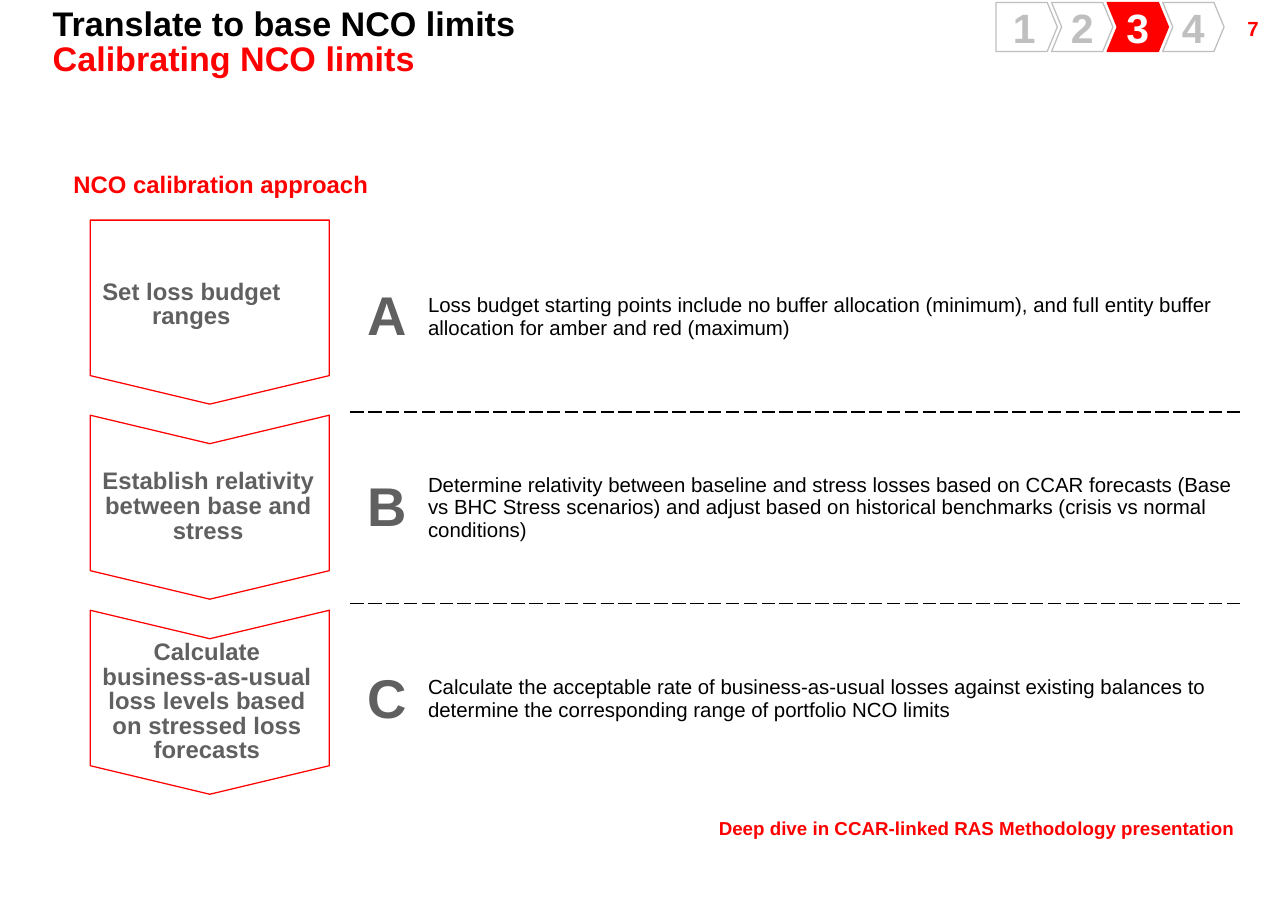
from lxml.etree import SubElement
from pptx import Presentation
from pptx.dml.color import RGBColor
from pptx.enum.shapes import MSO_SHAPE
from pptx.enum.text import MSO_ANCHOR, MSO_AUTO_SIZE, PP_ALIGN
from pptx.oxml import parse_xml
from pptx.oxml.ns import nsdecls, qn
from pptx.util import Inches, Pt

COLORS = {
    "black": "000000",
    "white": "FFFFFF",
    "red": "FF0000",
    "gray": "606060",
    "light_gray": "BFBFBF",
}
FONT = "Arial"
TIGHT = 0.86
CURRENT_STAGE = 3
STEPS = [
    ("A", "Set loss budget ranges",
     "Loss budget starting points include no buffer allocation (minimum), "
     "and full entity buffer allocation for amber and red (maximum)"),
    ("B", "Establish relativity between base and stress",
     "Determine relativity between baseline and stress losses based on CCAR forecasts "
     "(Base vs BHC Stress scenarios) and adjust based on historical benchmarks "
     "(crisis vs normal conditions)"),
    ("C", "Calculate business-as-usual loss levels based on stressed loss forecasts",
     "Calculate the acceptable rate of business-as-usual losses against existing balances "
     "to determine the corresponding range of portfolio NCO limits"),
]


def rgb(name):
    return RGBColor.from_string(COLORS[name])


def format_paragraph(paragraph, size, color, bold=True, align=PP_ALIGN.LEFT, spacing=1.0):
    paragraph.alignment = align
    paragraph.line_spacing = spacing
    paragraph.space_before = Pt(0)
    for run in paragraph.runs:
        run.font.name = FONT
        run.font.size = Pt(size)
        run.font.bold = bold
        run.font.color.rgb = rgb(color)


def set_margins(target, margin):
    target.margin_left = target.margin_right = Inches(margin)
    target.margin_top = target.margin_bottom = Inches(margin)


def add_title(slide):
    title = slide.shapes.title
    title.left, title.top = Inches(0.33), Inches(0.02)
    title.width, title.height = Inches(9.76), Inches(0.68)
    frame = title.text_frame
    frame.text = "Translate to base NCO limits\nCalibrating NCO limits"
    frame.auto_size = MSO_AUTO_SIZE.NONE
    frame.vertical_anchor = MSO_ANCHOR.TOP
    for paragraph, color in zip(frame.paragraphs, ("black", "red")):
        format_paragraph(paragraph, 20, color, spacing=TIGHT)


def add_label(slide, text, left, top, width, height, size,
              align=PP_ALIGN.LEFT, spacing=TIGHT, wrap=True):
    box = slide.shapes.add_textbox(Inches(left), Inches(top), Inches(width), Inches(height))
    frame = box.text_frame
    frame.word_wrap = wrap
    frame.text = text
    format_paragraph(frame.paragraphs[0], size, "red", align=align, spacing=spacing)
    return box


def add_arrow(slide, is_first, text, left, top, width, height, point, fill, line,
              size, color, margin, spacing=1.0):
    """Add a pentagon for the first arrow of a chain, a chevron for the others."""
    preset = MSO_SHAPE.PENTAGON if is_first else MSO_SHAPE.CHEVRON
    arrow = slide.shapes.add_shape(
        preset, Inches(left), Inches(top), Inches(width), Inches(height))
    arrow.adjustments[0] = point
    arrow.shadow.inherit = False
    arrow.fill.solid()
    arrow.fill.fore_color.rgb = rgb(fill)
    arrow.line.color.rgb = rgb(line)
    arrow.line.width = Pt(0.75)
    frame = arrow.text_frame
    frame.word_wrap = True
    frame.vertical_anchor = MSO_ANCHOR.MIDDLE
    set_margins(frame, margin)
    frame.text = text
    format_paragraph(frame.paragraphs[0], size, color, align=PP_ALIGN.CENTER, spacing=spacing)
    return arrow


def add_stage_tracker(slide):
    for index in range(4):
        current = index + 1 == CURRENT_STAGE
        fill, line, color = (("red", "red", "white") if current
                             else ("white", "light_gray", "light_gray"))
        add_arrow(slide, index == 0, str(index + 1), 8.12 + 0.453 * index, 0.02, 0.5, 0.4,
                  0.206, fill, line, 24, color, 0)


def add_step_arrows(slide):
    for index, (_, name, _) in enumerate(STEPS):
        arrow = add_arrow(slide, index == 0, name, 0.96, 1.57 + 1.59 * index, 1.5, 1.95,
                          0.155, "white", "red", 14, "gray",
                          0.05 if index == 0 else 0.1, TIGHT)
        arrow.rotation = 90
        # Turn the text back upright inside the downward-pointing arrow.
        body = arrow.text_frame._txBody.find(qn("a:bodyPr"))
        body.set("rot", "10800000")
        body.set("vert", "eaVert")


def add_dashed_border(cell, side):
    border = parse_xml(f'<a:{side} {nsdecls("a")} w="12700"/>')
    fill = SubElement(border, qn("a:solidFill"))
    SubElement(fill, qn("a:srgbClr"), val=COLORS["black"])
    SubElement(border, qn("a:prstDash"), val="dash")
    cell._tc.get_or_add_tcPr().insert(0, border)


def fill_cell(cell, text, size, color, bold, align):
    cell.text = text
    cell.vertical_anchor = MSO_ANCHOR.MIDDLE
    set_margins(cell, 0.04)
    format_paragraph(cell.text_frame.paragraphs[0], size, color, bold, align)


def add_step_table(slide):
    table = slide.shapes.add_table(
        len(STEPS), 3, Inches(0.5), Inches(1.8), Inches(9.6), Inches(4.68)).table
    table.first_row = table.horz_banding = False
    for column, width in zip(table.columns, (2.36, 0.59, 6.65)):
        column.width = Inches(width)
    for cell in table.iter_cells():
        cell.fill.background()
    last = len(STEPS) - 1
    for index, (letter, _, description) in enumerate(STEPS):
        table.rows[index].height = Inches(1.56)
        letter_cell, description_cell = table.cell(index, 1), table.cell(index, 2)
        fill_cell(letter_cell, letter, 32, "gray", True, PP_ALIGN.CENTER)
        fill_cell(description_cell, description, 12, "black", False, PP_ALIGN.LEFT)
        for cell in (letter_cell, description_cell):
            if index < last:
                add_dashed_border(cell, "lnB")
            if index > 0:
                add_dashed_border(cell, "lnT")
    table.cell(0, 0).merge(table.cell(1, 0))


def main():
    presentation = Presentation()
    presentation.slide_width = Inches(10.5)
    presentation.slide_height = Inches(7.5)
    slide = presentation.slides.add_slide(presentation.slide_layouts[5])

    add_title(slide)
    add_label(slide, "7", 9.36, 0.11, 1, 0.24, 12, align=PP_ALIGN.RIGHT)
    add_stage_tracker(slide)
    add_label(slide, "NCO calibration approach", 0.5, 1.37, 4.8, 0.3, 14)
    add_step_table(slide)
    add_step_arrows(slide)
    deep_dive = add_label(slide, "Deep dive in CCAR-linked RAS Methodology presentation",
                          5.86, 6.66, 4.24, 0.19, 11, spacing=1.0, wrap=False)
    set_margins(deep_dive.text_frame, 0)

    presentation.save("out.pptx")


if __name__ == "__main__":
    main()
